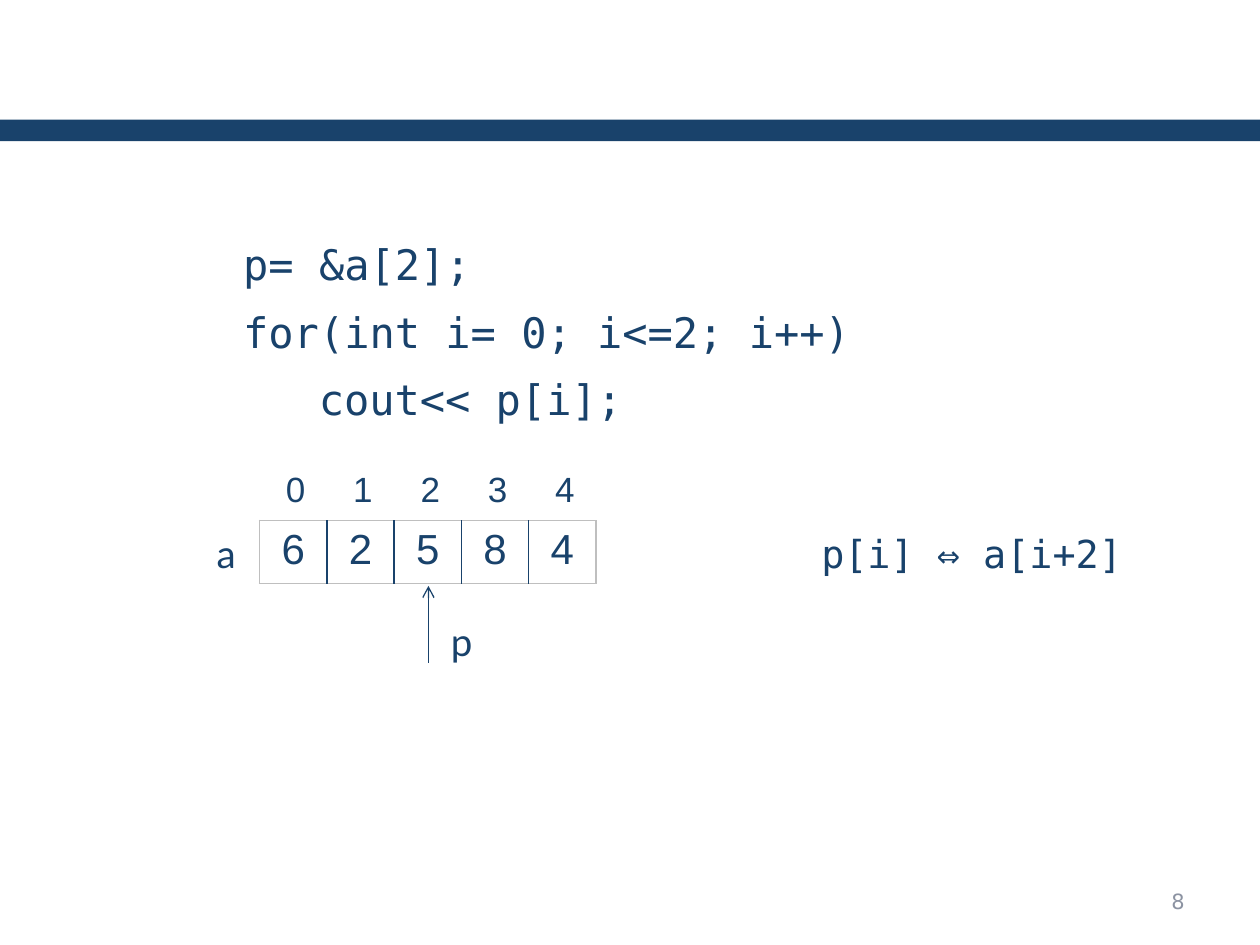
from lxml.etree import SubElement
from pptx import Presentation
from pptx.dml.color import RGBColor
from pptx.enum.shapes import MSO_CONNECTOR, MSO_SHAPE
from pptx.enum.text import MSO_ANCHOR, MSO_AUTO_SIZE, PP_ALIGN
from pptx.oxml.ns import qn
from pptx.util import Inches, Pt

NAVY = "19426B"
GREY = "8C93A2"
BORDER = "BFBFBF"
MONO = "DejaVu Sans Mono"


def color(value):
    return RGBColor.from_string(value)


def style(paragraph, font, size, tint=NAVY, align=PP_ALIGN.LEFT):
    paragraph.font.name = font
    paragraph.font.size = Pt(size)
    paragraph.font.color.rgb = color(tint)
    paragraph.alignment = align


def add_bar(page):
    bar = page.shapes.add_shape(
        MSO_SHAPE.RECTANGLE, 0, Inches(0.95), Inches(10), Inches(0.17))
    bar.shadow.inherit = False
    bar.fill.solid()
    bar.fill.fore_color.rgb = color(NAVY)
    bar.line.fill.background()


def fill_code(body, lines):
    body.left, body.top = Inches(0.33), Inches(1.84)
    body.width, body.height = Inches(9.17), Inches(1.75)
    frame = body.text_frame
    frame.auto_size = MSO_AUTO_SIZE.NONE
    frame.vertical_anchor = MSO_ANCHOR.TOP
    frame.text = "\n".join(text for text, _ in lines)
    for para, (_, indent) in zip(frame.paragraphs, lines):
        style(para, MONO, 24)
        para.space_before = Pt(10)
        properties = para._p.get_or_add_pPr()
        properties.set("marL", str(Inches(indent)))
        properties.set("indent", "0")
        SubElement(properties, qn("a:buNone"))


def add_label(page, text, left, top, width, height, font, size,
              tint=NAVY, align=PP_ALIGN.LEFT, anchor=MSO_ANCHOR.TOP):
    box = page.shapes.add_textbox(
        Inches(left), Inches(top), Inches(width), Inches(height))
    frame = box.text_frame
    frame.word_wrap = True
    frame.vertical_anchor = anchor
    frame.text = text
    style(frame.paragraphs[0], font, size, tint, align)


def set_border(cell, side, tint):
    line = SubElement(cell._tc.get_or_add_tcPr(), qn(f"a:{side}"), w=str(Pt(1)))
    fill = SubElement(line, qn("a:solidFill"))
    SubElement(fill, qn("a:srgbClr"), val=tint)


def add_row(page, values, left, top, height, size, bordered=False):
    width = Inches(2.67)
    table = page.shapes.add_table(
        1, len(values), Inches(left), Inches(top), width, Inches(height)).table
    table.first_row = False
    table.horz_banding = False
    last = len(values) - 1
    for index, value in enumerate(values):
        table.columns[index].width = width // len(values)
        cell = table.cell(0, index)
        cell.text = str(value)
        style(cell.text_frame.paragraphs[0], "Arial", size, align=PP_ALIGN.CENTER)
        if bordered:
            set_border(cell, "lnL", BORDER if index == 0 else NAVY)
            set_border(cell, "lnR", BORDER if index == last else NAVY)
            set_border(cell, "lnT", BORDER)
            set_border(cell, "lnB", BORDER)
        cell.fill.background()


def add_arrow(page, x, start, end):
    arrow = page.shapes.add_connector(
        MSO_CONNECTOR.STRAIGHT, Inches(x), Inches(start), Inches(x), Inches(end))
    arrow.line.color.rgb = color(NAVY)
    arrow.line.width = Pt(0.75)
    SubElement(arrow.line._get_or_add_ln(), qn("a:tailEnd"), type="arrow")
    SubElement(arrow._element.spPr, qn("a:effectLst"))


def main():
    deck = Presentation()
    deck.slide_width, deck.slide_height = Inches(10), Inches(7.5)
    page = deck.slides.add_slide(deck.slide_layouts[1])
    title = page.shapes.title._element
    title.getparent().remove(title)

    add_bar(page)
    fill_code(page.placeholders[1], [
        ("p= &a[2];", 1.5),
        ("for(int i= 0; i<=2; i++)", 1.5),
        ("cout<< p[i];", 2.1),
    ])
    add_label(page, "8", 7.17, 6.95, 2.33, 0.4, "DejaVu Sans", 12,
              GREY, PP_ALIGN.RIGHT, MSO_ANCHOR.MIDDLE)
    add_row(page, [6, 2, 5, 8, 4], 2.06, 4.13, 0.48, 24, bordered=True)
    add_row(page, range(5), 2.08, 3.69, 0.43, 20)
    add_label(page, "a", 1.62, 4.16, 0.39, 0.47, "Lato", 22)
    add_arrow(page, 3.4, 5.26, 4.65)
    add_label(page, "p", 3.48, 4.86, 0.39, 0.47, "Lato", 22)
    add_label(page, "p[i] ⇔ a[i+2]", 6.42, 4.16, 2.86, 0.47, MONO, 22)
    deck.save("out.pptx")


if __name__ == "__main__":
    main()
